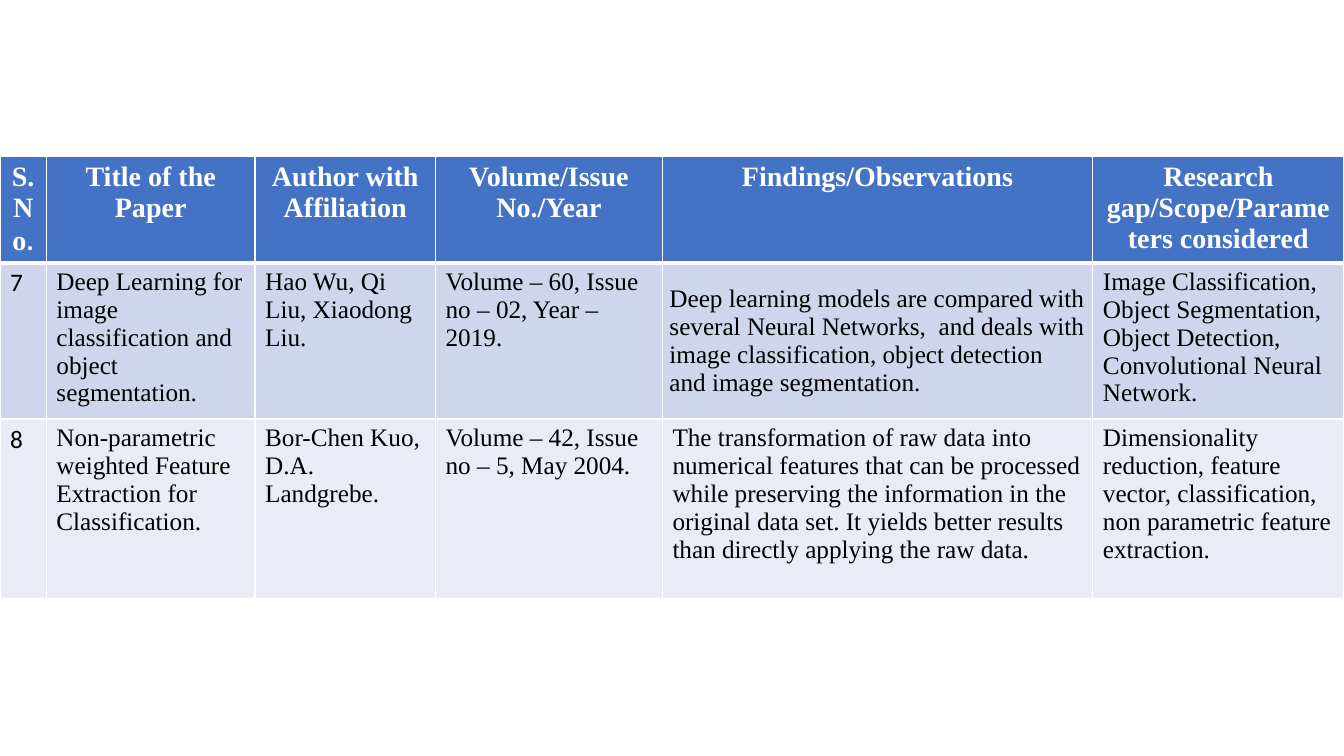
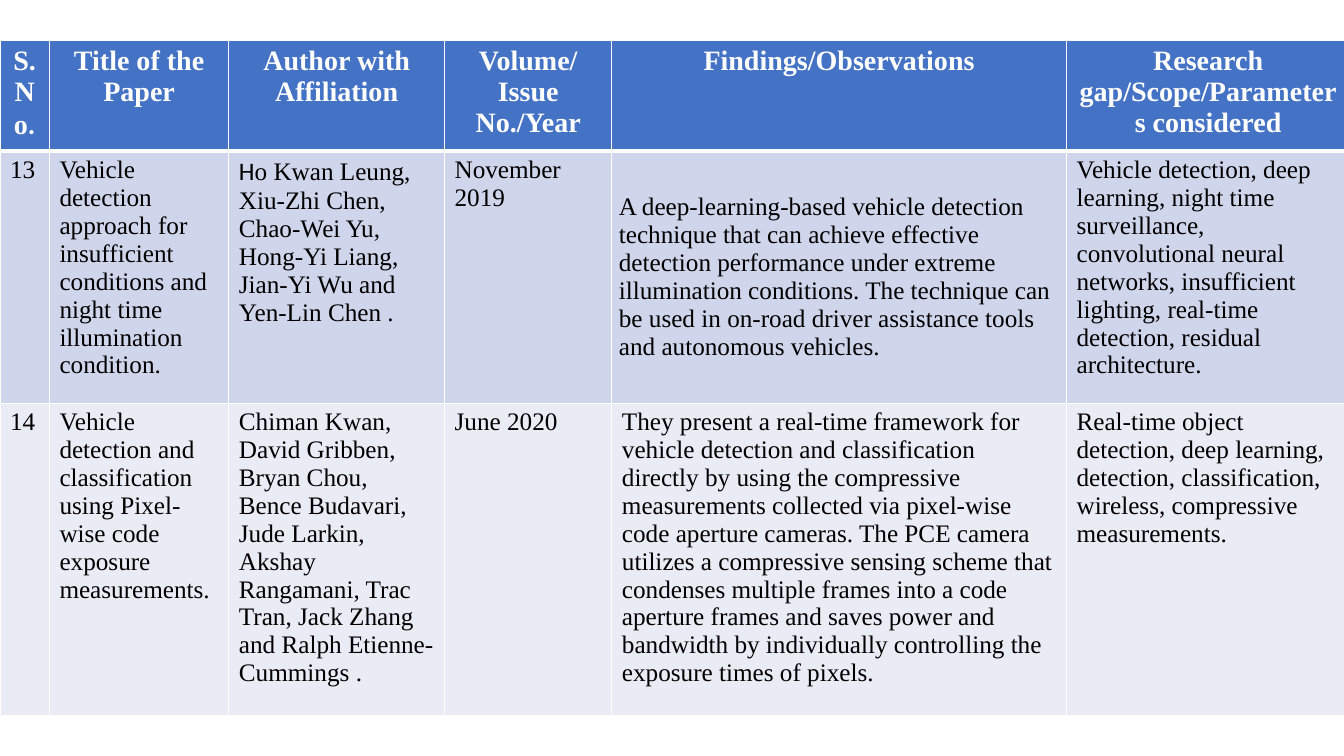
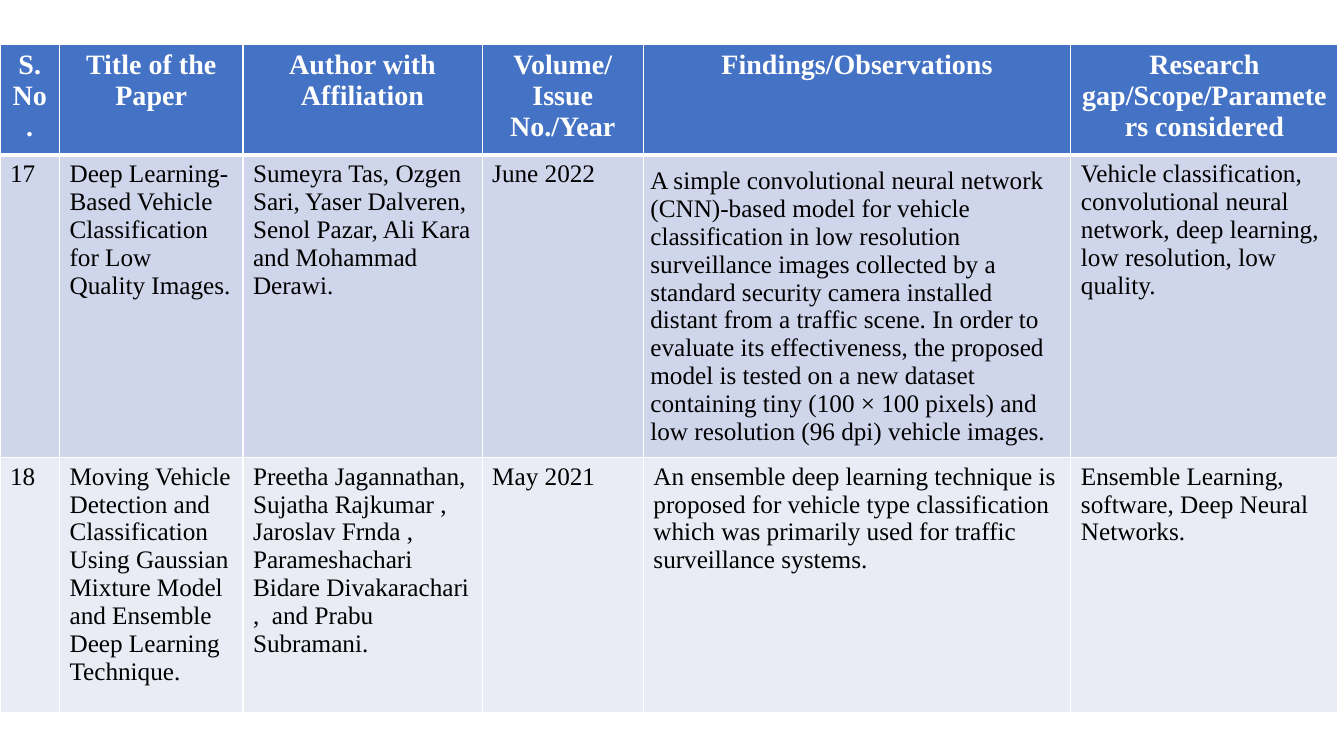
from dataclasses import dataclass

from lxml import etree
from pptx import Presentation
from pptx.dml.color import RGBColor
from pptx.enum.text import MSO_ANCHOR, PP_ALIGN
from pptx.oxml.ns import qn
from pptx.util import Inches, Pt

CENTER, LEFT = PP_ALIGN.CENTER, PP_ALIGN.LEFT
TOP, MIDDLE = MSO_ANCHOR.TOP, MSO_ANCHOR.MIDDLE


@dataclass(frozen=True)
class Theme:
    font: str = "Times New Roman"
    alt_font: str = "Calibri"
    head_fill: str = "4472C4"
    bands: tuple = ("CFD5EA", "E9EBF5")
    head_text: str = "FFFFFF"
    body_text: str = "000000"
    border: str = "FFFFFF"
    head_size: int = 20
    body_size: int = 18
    thin: int = 1
    thick: int = 3
    space_after: int = 8


THEME = Theme()
FINDINGS = 4  # column whose first entry is centred vertically
HEADINGS = ["Title of the Paper", "Author with Affiliation", "Volume/Issue No./Year",
            "Findings/Observations", "Research gap/Scope/Parameters considered"]
NUMBER_HEAD = [("S.No", THEME.font), (".", THEME.alt_font)]


def write(tf, text, font=THEME.font, size=THEME.body_size, color=THEME.body_text,
          bold=False, align=LEFT, after=0):
    """Fill a text frame; text is a string or a list of (text, font) runs."""
    p = tf.paragraphs[0]
    p.alignment = align
    if after:
        p.space_after = Pt(after)
    for part, face in [(text, font)] if isinstance(text, str) else text:
        r = p.add_run()
        r.text = part
        r.font.name, r.font.size, r.font.bold = face, Pt(size), bold
        r.font.color.rgb = RGBColor.from_string(color)


def set_borders(cell, top, bottom):
    """Draw the four cell edges; they must come before the fill."""
    tc_pr = cell._tc.get_or_add_tcPr()
    widths = {"L": THEME.thin, "R": THEME.thin, "T": top, "B": bottom}
    for i, (side, width) in enumerate(widths.items()):
        ln = etree.Element(qn(f"a:ln{side}"), w=str(Pt(width)))
        fill = etree.SubElement(ln, qn("a:solidFill"))
        etree.SubElement(fill, qn("a:srgbClr"), val=THEME.border)
        tc_pr.insert(i, ln)


class Deck:
    """Holds the presentation, its style and the current slide."""

    def __init__(self, theme):
        self.theme = theme
        self.prs = Presentation()
        self.prs.slide_width, self.prs.slide_height = Inches(13.33), Inches(7.5)
        self.s = None

    def x(self, percent):
        return round(self.prs.slide_width * percent / 100)

    def y(self, percent):
        return round(self.prs.slide_height * percent / 100)

    def add_slide(self):
        self.s = self.prs.slides.add_slide(self.prs.slide_layouts[6])

    def survey_table(self, top, cols, rows, entries, number_head=NUMBER_HEAD):
        """Add a paper survey; top, cols and rows are percentages of the slide."""
        data = [[number_head, *HEADINGS], *entries]
        table = self.s.shapes.add_table(
            len(rows), len(cols), 0, self.y(top), self.x(sum(cols)), self.y(sum(rows))).table
        for column, share in zip(table.columns, cols):
            column.width = self.x(share)
        for row, share in zip(table.rows, rows):
            row.height = self.y(share)
        for i, line in enumerate(data):
            for j, text in enumerate(line):
                self.table_cell(table.cell(i, j), i, j, text)

    def table_cell(self, cell, row, col, text):
        t = self.theme
        head = row == 0
        centred = row == 1 and col == FINDINGS
        cell.fill.solid()
        cell.fill.fore_color.rgb = RGBColor.from_string(
            t.head_fill if head else t.bands[(row - 1) % 2])
        set_borders(cell, t.thick if row == 1 else t.thin, t.thick if head else t.thin)
        cell.vertical_anchor = MIDDLE if centred else TOP
        if centred:
            cell.margin_left = cell.margin_right = Inches(0.07)
            cell.margin_top = cell.margin_bottom = 0
        if head:
            write(cell.text_frame, text, size=t.head_size, color=t.head_text,
                  bold=True, align=CENTER)
        else:
            write(cell.text_frame, text, after=t.space_after if centred else 0)


def main():
    deck = Deck(THEME)

    # Papers 7 and 8
    deck.add_slide()
    deck.survey_table(
        top=20.67, cols=[3.45, 15.53, 13.43, 16.88, 32.03, 18.68], rows=[14, 20.67, 23.8],
        entries=[
            [[("7", THEME.alt_font)],
             "Deep Learning for image classification and object segmentation.",
             "Hao Wu, Qi Liu, Xiaodong Liu.",
             "Volume – 60, Issue no – 02, Year – 2019.",
             "Deep learning models are compared with several Neural Networks,  and deals with "
             "image classification, object detection and image segmentation.",
             "Image Classification, Object Segmentation, Object Detection, "
             "Convolutional Neural Network."],
            [[("8", THEME.alt_font)],
             "Non-parametric weighted Feature Extraction for Classification.",
             "Bor-Chen Kuo, D.A. Landgrebe.",
             "Volume – 42, Issue no – 5, May 2004.",
             "The transformation of raw data into numerical features that can be processed while "
             "preserving the information in the original data set. It yields better results than "
             "directly applying the raw data.",
             "Dimensionality reduction, feature vector, classification, "
             "non parametric feature extraction."],
        ])

    # Papers 13 and 14
    deck.add_slide()
    deck.survey_table(
        top=5.33, cols=[3.68, 13.35, 16.05, 12.45, 33.83, 21.08], rows=[14.67, 33.33, 41.33],
        entries=[
            ["13",
             "Vehicle detection approach for insufficient conditions and night time "
             "illumination condition.",
             [("H", THEME.alt_font),
              ("o Kwan Leung, Xiu-Zhi Chen, Chao-Wei Yu, Hong-Yi Liang, Jian-Yi Wu and "
               "Yen-Lin Chen .", THEME.font)],
             "November 2019",
             "A deep-learning-based vehicle detection technique that can achieve effective "
             "detection performance under extreme illumination conditions. The technique can be "
             "used in on-road driver assistance tools and autonomous vehicles.",
             "Vehicle detection, deep learning, night time surveillance, convolutional neural "
             "networks, insufficient lighting, real-time detection, residual architecture."],
            ["14",
             "Vehicle detection and classification using Pixel- wise code exposure measurements.",
             "Chiman Kwan, David Gribben, Bryan Chou, Bence Budavari, Jude Larkin, Akshay "
             "Rangamani, Trac Tran, Jack Zhang and Ralph Etienne-Cummings .",
             "June 2020",
             "They present a real-time framework for vehicle detection and classification "
             "directly by using the compressive measurements collected via pixel-wise code "
             "aperture cameras. The PCE camera utilizes a compressive sensing scheme that "
             "condenses multiple frames into a code aperture frames and saves power and "
             "bandwidth by individually controlling the exposure times of pixels.",
             "Real-time object detection, deep learning, detection, classification, wireless, "
             "compressive measurements."],
        ])

    # Papers 17 and 18
    deck.add_slide()
    deck.survey_table(
        top=5.87, cols=[4.43, 13.65, 17.8, 12, 31.81, 19.88], rows=[14.67, 40, 33.73],
        number_head="S.No.",
        entries=[
            ["17",
             "Deep Learning-Based Vehicle Classification for Low Quality Images.",
             "Sumeyra Tas, Ozgen Sari, Yaser Dalveren, Senol Pazar, Ali Kara and "
             "Mohammad Derawi.",
             "June 2022",
             "A simple convolutional neural network (CNN)-based model for vehicle classification "
             "in low resolution surveillance images collected by a standard security camera "
             "installed distant from a traffic scene. In order to evaluate its effectiveness, "
             "the proposed model is tested on a new dataset containing tiny (100 × 100 pixels) "
             "and low resolution (96 dpi) vehicle images.",
             "Vehicle classification, convolutional neural network, deep learning, "
             "low resolution, low quality."],
            ["18",
             "Moving Vehicle Detection and Classification Using Gaussian Mixture Model and "
             "Ensemble Deep Learning Technique.",
             "Preetha Jagannathan, Sujatha Rajkumar , Jaroslav Frnda , Parameshachari Bidare "
             "Divakarachari ,  and Prabu Subramani.",
             "May 2021",
             "An ensemble deep learning technique is proposed for vehicle type classification "
             "which was primarily used for traffic surveillance systems.",
             "Ensemble Learning, software, Deep Neural Networks."],
        ])

    deck.prs.save("out.pptx")


if __name__ == "__main__":
    main()
